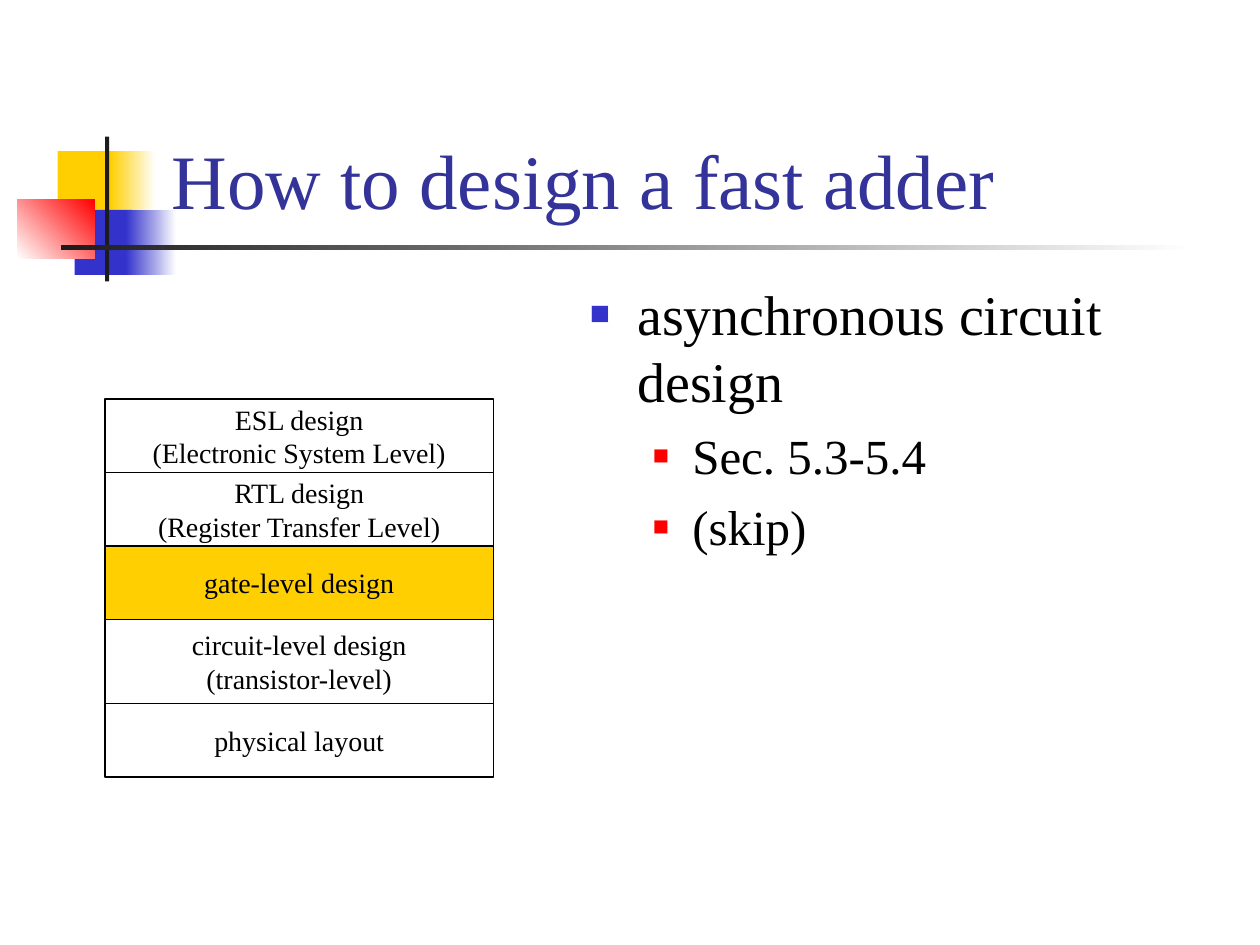
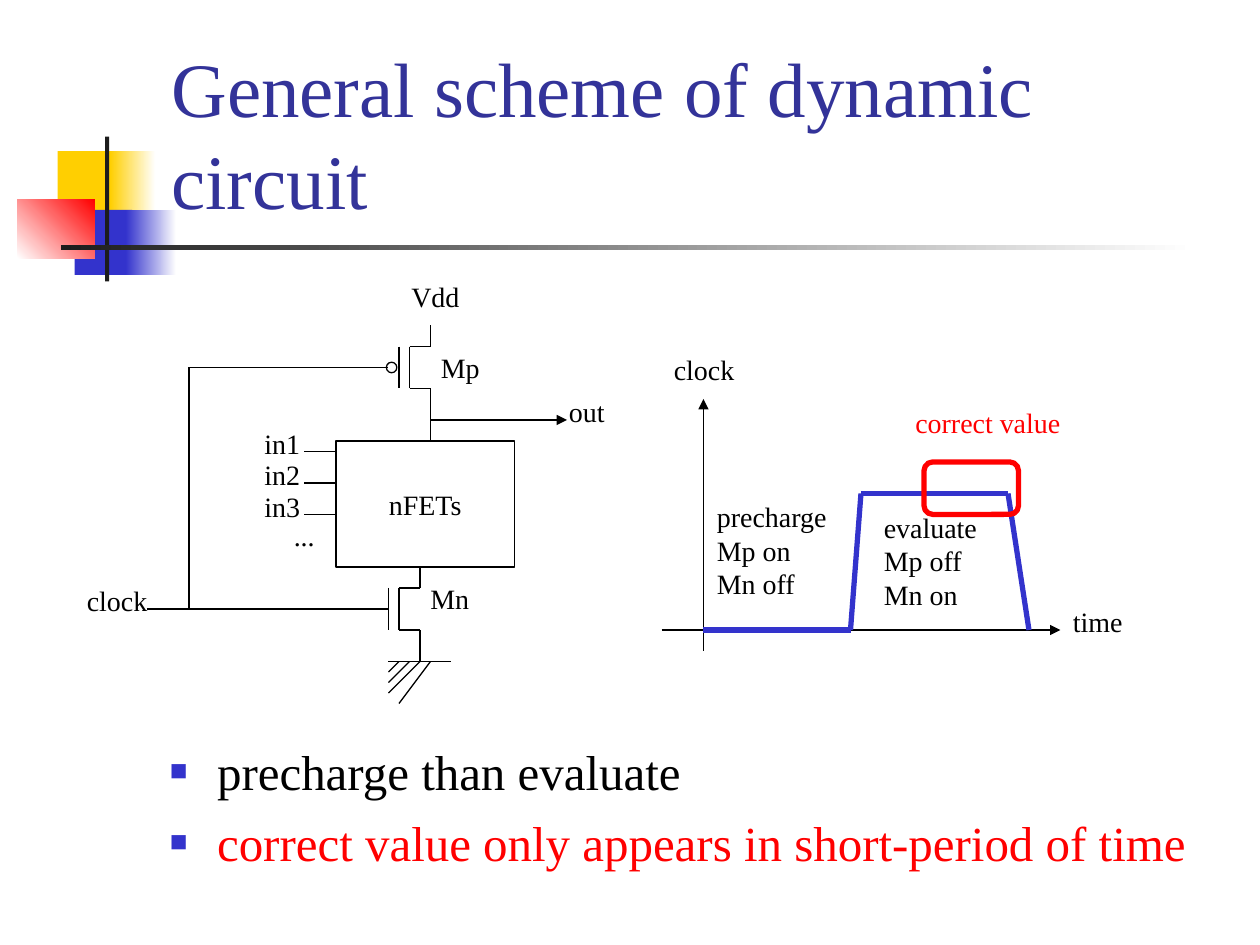
from itertools import pairwise
from pptx import Presentation
from pptx.dml.color import RGBColor as RGB
from pptx.enum.shapes import MSO_CONNECTOR as LINK, MSO_SHAPE as KIND
from pptx.enum.text import MSO_ANCHOR as ANCHOR, PP_ALIGN as ALIGN
from pptx.oxml.ns import qn
from pptx.oxml.xmlchemy import OxmlElement as Node
from pptx.util import Inches, Pt

FONT = "Times New Roman"
BLACK = RGB(0x00, 0x00, 0x00)
WHITE = RGB(0xFF, 0xFF, 0xFF)
INK = RGB(0x1C, 0x1C, 0x1C)
NAVY = RGB(0x33, 0x33, 0x99)
BLUE = RGB(0x33, 0x33, 0xCC)
RED = RGB(0xFF, 0x00, 0x00)
GOLD = RGB(0xFF, 0xCF, 0x01)
MARKS = [(4.5, 4.5, BLUE, 60), (9.75, 3.75, RED, 55)]
LINE_ROWS = 3.2


def grid(*cells):
    return [Inches(cell / 12) for cell in cells]


def write(frame, text, size=16, color=BLACK, align=ALIGN.LEFT):
    frame.text = text
    for para in frame.paragraphs:
        para.alignment = align
        para.font.name = FONT
        para.font.size = Pt(size)
        para.font.color.rgb = color


def shape(slide, area, fill=None, edge=None, width=0.75, kind=KIND.RECTANGLE):
    item = slide.shapes.add_shape(kind, *grid(*area))
    item.shadow.inherit = False
    if fill is None:
        item.fill.background()
    else:
        item.fill.solid()
        item.fill.fore_color.rgb = fill
    if edge is None:
        item.line.fill.background()
    else:
        item.line.color.rgb = edge
        item.line.width = Pt(width)
    return item


def fade(slide, area, start, end, angle=0):
    fill = shape(slide, area).fill
    fill.gradient()
    fill.gradient_angle = angle
    for stop, color in zip(fill.gradient_stops, (start, end)):
        stop.color.rgb = color


def block(slide, area, text, fill=None):
    frame = shape(slide, area, fill, BLACK).text_frame
    frame.word_wrap = False
    frame.vertical_anchor = ANCHOR.MIDDLE
    write(frame, text, align=ALIGN.CENTER)


def label(slide, col, row, wide, text, color=BLACK):
    tall = LINE_ROWS * (text.count("\n") + 1) + 1.2
    frame = slide.shapes.add_textbox(*grid(col, row, wide, tall)).text_frame
    frame.word_wrap = False
    write(frame, text, color=color)


def wire(slide, *points, color=BLACK, width=0.75, arrow=False):
    for start, end in pairwise(points):
        link = slide.shapes.add_connector(LINK.STRAIGHT, *grid(*start, *end))
        link.line.color.rgb = color
        link.line.width = Pt(width)
        props = link.element.spPr
        if arrow:
            tail = Node("a:tailEnd")
            tail.set("type", "triangle")
            props.find(qn("a:ln")).append(tail)
        props.append(Node("a:effectLst"))


def bullet(para, level):
    left, hang, color, share = MARKS[level]
    props = para._p.get_or_add_pPr()
    props.set("marL", str(Inches(left / 12)))
    props.set("indent", str(-Inches(hang / 12)))
    paint, tint = Node("a:buClr"), Node("a:srgbClr")
    tint.set("val", str(color))
    paint.append(tint)
    size, face, mark = Node("a:buSzPct"), Node("a:buFont"), Node("a:buChar")
    size.set("val", str(share * 1000))
    face.set("typeface", FONT)
    mark.set("char", "■")
    props.extend([paint, size, face, mark])


def body(slide, area, items):
    frame = slide.shapes.add_textbox(*grid(*area)).text_frame
    frame.word_wrap = True
    write(frame, "\n".join(item[0] for item in items))
    for para, (_, level, size, color) in zip(frame.paragraphs, items):
        para.font.size = Pt(size)
        para.font.color.rgb = color
        para.space_before = Pt(size / 4)
        para.level = level
        bullet(para, level)


def page(deck, title):
    slide = deck.slides.add_slide(deck.slide_layouts[6])
    shape(slide, (5.5, 14.4, 5.8, 6.2), GOLD)
    fade(slide, (10.5, 14.4, 4.3, 6.2), GOLD, WHITE)
    shape(slide, (7.1, 20, 5.5, 6.2), BLUE)
    fade(slide, (12, 20, 4.8, 6.2), BLUE, WHITE)
    fade(slide, (1.65, 19, 7.4, 5.6), WHITE, RED, 45)
    shape(slide, (10, 13, 0.4, 13.8), INK)
    fade(slide, (5.8, 23.35, 108, 0.45), INK, WHITE)
    frame = slide.shapes.add_textbox(*grid(15.15, 2.8, 102.2, 19.2)).text_frame
    frame.word_wrap = True
    frame.vertical_anchor = ANCHOR.BOTTOM
    write(frame, title, 44, NAVY)
    return slide


def stack(slide, col, row, wide, levels):
    for text, tall, fill in levels:
        block(slide, (col, row, wide, tall), text, fill)
        row += tall


def fet(slide, col, row, above, below):
    gate, side, low = col + 1, col + 3, row + 4
    wire(slide, (col, row), (col, low))
    wire(slide, (gate, row), (gate, low))
    wire(slide, (gate, row), (side, row), (side, row - above))
    wire(slide, (gate, low), (side, low), (side, low + below))


def ground(slide, col, row):
    wire(slide, (col, row), (col + 6, row))
    for step in range(1, 4):
        wire(slide, (col + step, row), (col, row + step))
    wire(slide, (col + 4, row), (col + 1, row + 4))


def circuit(slide):
    fet(slide, 38, 33, 2, 5)
    shape(slide, (36.8, 34.5, 1, 1), edge=BLACK, kind=KIND.OVAL)
    block(slide, (32, 42, 17, 12), "nFETs")
    for turn in range(3):
        row = 43 + 3 * turn
        wire(slide, (29, row), (32, row))
        label(slide, 24, row - 3, 5.8, f"in{turn + 1}")
    label(slide, 26.8, 48.8, 4.8, "...")
    fet(slide, 37, 56, 2, 3)
    ground(slide, 37, 63)
    wire(slide, (14, 58), (37, 58))
    wire(slide, (18, 58), (18, 35), (37, 35))
    wire(slide, (41, 40), (54, 40), arrow=True)
    wire(slide, (41, 40), (41, 42))
    label(slide, 7.1, 55, 8.2, "clock")
    label(slide, 40.8, 32.8, 6.1, "Mp")
    label(slide, 39.8, 54.8, 6.1, "Mn")
    label(slide, 53, 37, 5.8, "out")
    label(slide, 38, 26, 7, "Vdd")


def timing(slide):
    wire(slide, (63, 60), (101, 60), arrow=True)
    wire(slide, (67, 62), (67, 38), arrow=True)
    wire(slide, (67, 60), (81, 60), (82, 47), (96, 47), (98, 60),
         color=BLUE, width=3)
    label(slide, 101, 57, 7.1, "time")
    label(slide, 63, 33, 8.2, "clock")
    label(slide, 67.1, 47, 12.8, "precharge\nMp on\nMn off")
    label(slide, 83, 48, 11.3, "evaluate\nMp off\nMn on")
    shape(slide, (88, 44, 9, 5), edge=RED, width=3,
          kind=KIND.ROUNDED_RECTANGLE)
    label(slide, 86, 38, 16.2, "correct value", RED)


def main():
    deck = Presentation()
    deck.slide_width, deck.slide_height = Inches(10), Inches(7.5)

    adder = page(deck, "How to design a fast adder")
    body(adder, (55, 26, 63, 54), [
        ("asynchronous circuit design", 0, 32, BLACK),
        ("Sec. 5.3-5.4", 1, 28, BLACK),
        ("(skip)", 1, 28, BLACK),
    ])
    stack(adder, 10, 38, 37, [
        ("ESL design\n(Electronic System Level)", 7, None),
        ("RTL design\n(Register Transfer Level)", 7, None),
        ("gate-level design", 7, GOLD),
        ("circuit-level design\n(transistor-level)", 8, None),
        ("physical layout", 7, None),
    ])

    scheme = page(deck, "General scheme of dynamic circuit")
    body(scheme, (15, 70, 102, 16.4), [
        ("precharge than evaluate", 0, 28, BLACK),
        ("correct value only appears in short-period of time", 0, 28, RED),
    ])
    timing(scheme)
    circuit(scheme)
    deck.save("out.pptx")


if __name__ == "__main__":
    main()
